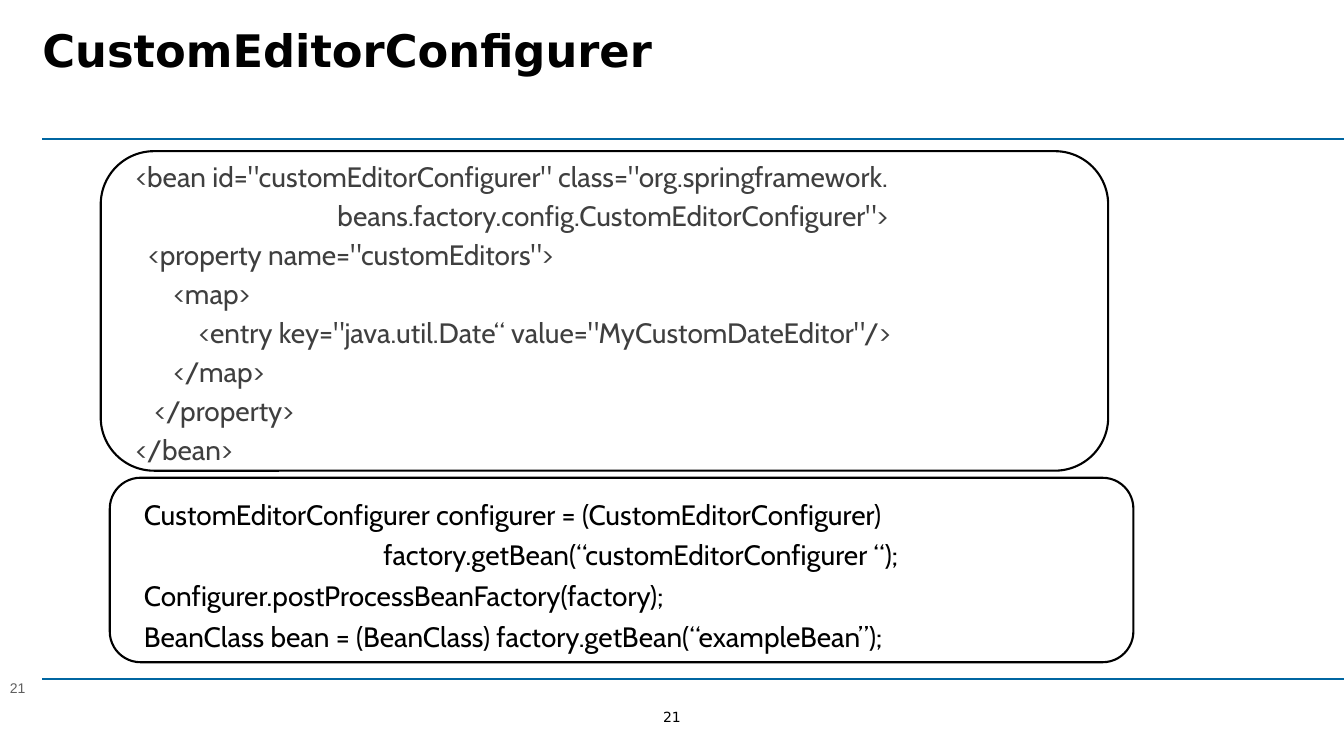
"""Build the CustomEditorConfigurer slide."""
from pptx import Presentation
from pptx.dml.color import RGBColor
from pptx.enum.shapes import MSO_CONNECTOR as CONN, MSO_SHAPE as SHAPE
from pptx.enum.text import MSO_ANCHOR as ANCHOR, MSO_AUTO_SIZE as FIT, PP_ALIGN as ALIGN
from pptx.oxml.ns import qn
from pptx.util import Pt

BLACK = RGBColor(0, 0, 0)
DARK = RGBColor(0x3F, 0x3F, 0x3F)
GRAY = RGBColor(0x5F, 0x5F, 0x5F)
BLUE = RGBColor(0x00, 0x66, 0xA1)

WIDTH, HEIGHT, LEFT = 960.48, 540, 30.24
TITLE = "CustomEditorConfigurer"
PAGE = "21"
RULES = [99.36, 485.28]
XML = [
    '<bean id="customEditorConfigurer" class="org.springframework.',
    '                                beans.factory.config.CustomEditorConfigurer">',
    '  <property name="customEditors">',
    '      <map>',
    '          <entry key="java.util.Date“ value="MyCustomDateEditor"/>',
    '      </map>',
    '   </property>',
    '</bean>',
]
JAVA = [
    'CustomEditorConfigurer configurer = (CustomEditorConfigurer)',
    '                                      factory.getBean(“customEditorConfigurer “);',
    'Configurer.postProcessBeanFactory(factory);',
    'BeanClass bean = (BeanClass) factory.getBean(“exampleBean”);',
]
CODE = [
    (XML, (90, 113.76, 840.24, 223.2), (72, 108, 720, 228.24), DARK, 0.85),
    (JAVA, (95.76, 354.24, 714.24, 116.64), (78.48, 341.28, 731.52, 131.76), BLACK, 0.9),
]


def write(sp, lines, size, font, color, bold=False, align=ALIGN.LEFT, anchor=ANCHOR.TOP,
          insets=(7.2, 3.6), wrap=True, spacing=None, gap=0):
    """Fill a shape with one formatted paragraph per line."""
    tf = sp.text_frame
    tf.auto_size = FIT.NONE
    tf.word_wrap, tf.vertical_anchor = wrap, anchor
    tf.margin_left = tf.margin_right = Pt(insets[0])
    tf.margin_top = tf.margin_bottom = Pt(insets[1])
    for i, line in enumerate(lines):
        p = tf.add_paragraph() if i else tf.paragraphs[0]
        p.alignment, p.line_spacing = align, spacing
        p.space_before = Pt(gap if i else 0)
        r = p.add_run()
        r.text = line
        r.font.size, r.font.name, r.font.bold = Pt(size), font, bold
        r.font.color.rgb = color


def place(box):
    """Convert a box in points to lengths."""
    return [Pt(v) for v in box]


def main():
    """Lay out the slide and save it."""
    prs = Presentation()
    prs.slide_width, prs.slide_height = Pt(WIDTH), Pt(HEIGHT)
    s = prs.slides.add_slide(prs.slide_layouts[5])

    for y in RULES:
        rule = s.shapes.add_connector(CONN.STRAIGHT, *place((LEFT, y, WIDTH, y)))
        rule.line.color.rgb, rule.line.width = BLUE, Pt(1.25)
        rule._element.spPr.append(rule._element.makeelement(qn("a:effectLst"), {}))

    title = s.shapes.title
    title.left, title.top, title.width, title.height = place((LEFT, 12.96, 910.8, 75.6))
    write(title, [TITLE], 32, "DejaVu Sans", BLACK, bold=True, insets=(0, 3.6))

    footer = s.shapes.add_textbox(*place((455.76, 505.44, 48.96, 13.68)))
    write(footer, [PAGE], 10, "DejaVu Sans", BLACK, align=ALIGN.CENTER,
          anchor=ANCHOR.MIDDLE, insets=(0, 0), wrap=False)
    corner = s.shapes.add_textbox(*place((0, 481.68, 78.48, 20.88)))
    write(corner, [PAGE], 10, "Arial", GRAY)

    for lines, text_box, frame_box, color, spacing in CODE:
        text = s.shapes.add_textbox(*place(text_box))
        write(text, lines, 20, "Cabin", color, spacing=spacing, gap=7.5)
        frame = s.shapes.add_shape(SHAPE.ROUNDED_RECTANGLE, *place(frame_box))
        frame.shadow.inherit = False
        frame.fill.background()
        frame.line.color.rgb, frame.line.width = BLACK, Pt(1.5)

    prs.save("out.pptx")


if __name__ == "__main__":
    main()
